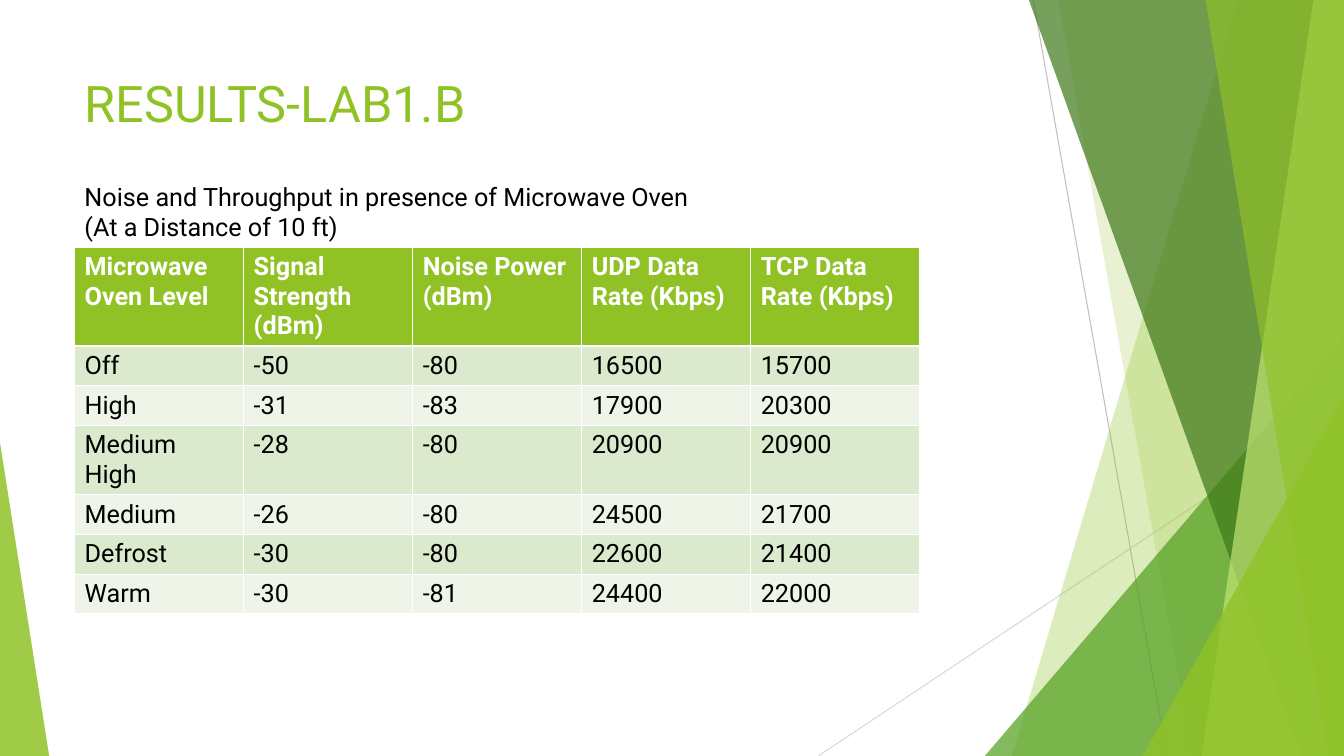
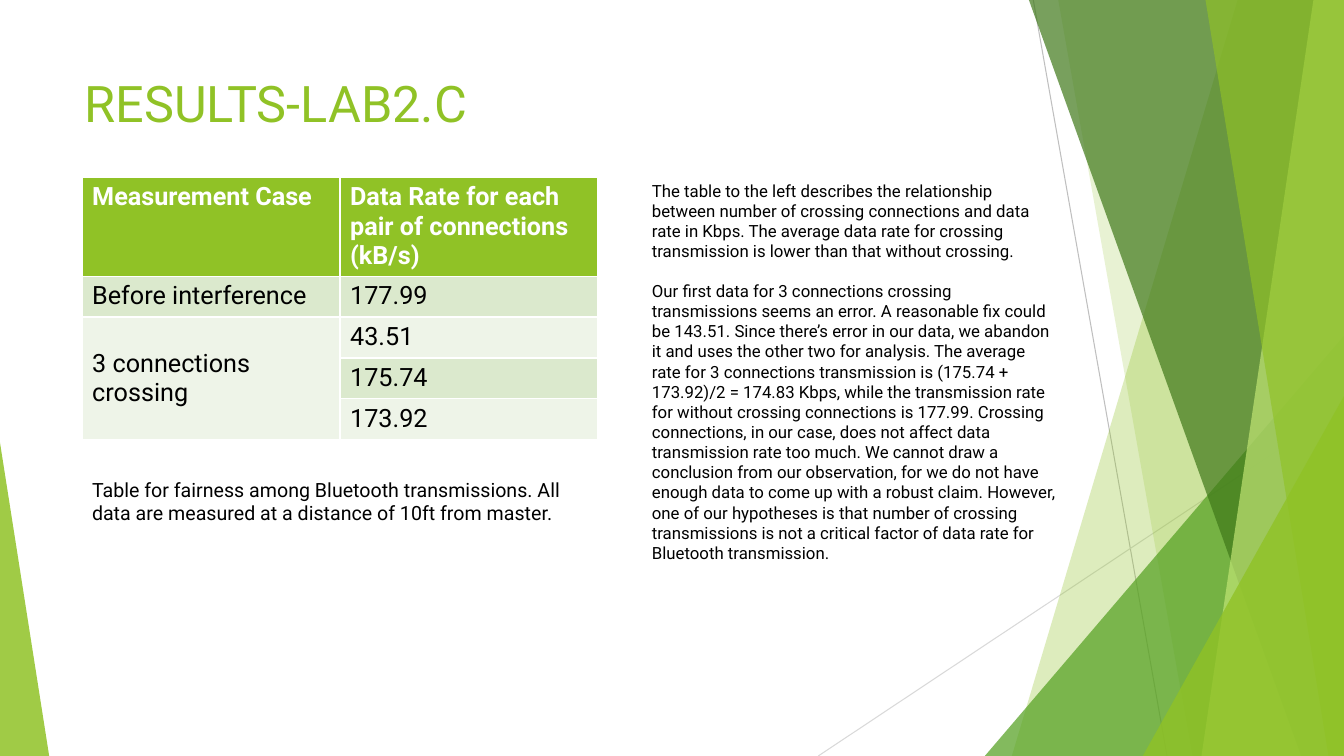
from lxml import etree
from pptx import Presentation
from pptx.dml.color import RGBColor
from pptx.enum import shapes, text
from pptx.oxml.ns import qn
from pptx.util import Cm, Pt

LIME = RGBColor(0x90, 0xC2, 0x26)
LEAF = RGBColor(0x54, 0xA0, 0x21)
FOREST = RGBColor(0x3F, 0x78, 0x19)
PALE_LIME = RGBColor(0xC0, 0xE4, 0x74)
BAND_DARK = RGBColor(0xDB, 0xE9, 0xCD)
BAND_LIGHT = RGBColor(0xEE, 0xF4, 0xE8)
GREY = RGBColor(0xBF, 0xBF, 0xBF)
LIGHT_GREY = RGBColor(0xD9, 0xD9, 0xD9)
BLACK = RGBColor(0, 0, 0)
WHITE = RGBColor(0xFF, 0xFF, 0xFF)

FONT = "Roboto"
W, H = 33.87, 19.05
LEFT = 1.88
TITLE_ONLY = 5


class Deck:
    """Holds the presentation, its style and the current slide."""

    def __init__(self):
        self.prs = Presentation()
        self.prs.slide_width, self.prs.slide_height = Cm(W), Cm(H)
        self.layout = self.prs.slide_layouts[TITLE_ONLY]
        self.s = None

    def slide(self, title):
        self.s = self.prs.slides.add_slide(self.layout)
        if len(self.prs.slides) == 1:
            self.decorate_layout()
        sp = self.s.shapes.title
        box = {"left": LEFT, "top": 1.7, "width": 23.88, "height": 3.66}
        for name, value in box.items():
            setattr(sp, name, Cm(value))
        tf = sp.text_frame
        tf.text = title
        tf.auto_size = text.MSO_AUTO_SIZE.NONE
        tf.vertical_anchor = text.MSO_ANCHOR.TOP
        tf.paragraphs[0].alignment = text.PP_ALIGN.LEFT
        self.format(tf, size=Pt(36), color=LIME)

    def decorate_layout(self):
        """Draw the green facets on the slide, then move them behind the layout's title."""
        facets = [
            self.line((26.04, 0), (29.41, H), GREY),
            self.line((W, 10.24), (20.62, H), LIGHT_GREY),
            self.panel(31.19, 25.5, LIME, 30),
            self.panel(26.67, 30.05, LIME, 20),
            self.wedge(24.82, 8.46, W, 1, LEAF, 72),
            self.panel(25.93, 32.79, FOREST, 70),
            self.panel(33.1, 30.28, PALE_LIME, 70),
            self.panel(30.38, 33.48, LIME, 65),
            self.wedge(28.8, 9.98, W, 1, LIME, 80),
            self.wedge(0, 11.15, 1.24, 0, LIME, 85),
        ]
        title = self.layout.placeholders[0].element
        for sp in facets:
            title.addprevious(sp.element)

    def line(self, start, end, color):
        cx = self.s.shapes.add_connector(
            shapes.MSO_CONNECTOR.STRAIGHT, *map(Cm, start + end))
        cx.line.color.rgb = color
        cx.line.width = Pt(0.75)
        etree.SubElement(cx.element.spPr, qn("a:effectLst"))
        return cx

    def panel(self, top_x, bottom_x, color, opacity):
        """Full-height facet from a slanted left edge to the slide's right edge."""
        fb = self.s.shapes.build_freeform(Cm(top_x), 0)
        fb.add_line_segments(
            [(Cm(x), Cm(y)) for x, y in ((W, 0), (W, H), (bottom_x, H))])
        return self.tint(fb.convert_to_shape(), color, opacity)

    def wedge(self, left, top, right, apex, color, opacity):
        """Triangle standing on the slide's bottom edge; apex is 0 (left) to 1 (right)."""
        sp = self.s.shapes.add_shape(
            shapes.MSO_SHAPE.ISOSCELES_TRIANGLE,
            Cm(left), Cm(top), Cm(right - left), Cm(H - top))
        sp.adjustments[0] = apex
        return self.tint(sp, color, opacity)

    def tint(self, sp, color, opacity):
        sp.shadow.inherit = False
        sp.line.fill.background()
        sp.fill.solid()
        sp.fill.fore_color.rgb = color
        clr = sp.element.spPr.find(".//" + qn("a:srgbClr"))
        etree.SubElement(clr, qn("a:alpha"), val=str(opacity * 1000))
        return sp

    def format(self, tf, color=BLACK, **font):
        for p in tf.paragraphs:
            for r in p.runs:
                for name, value in {"name": FONT, **font}.items():
                    setattr(r.font, name, value)
                r.font.color.rgb = color

    def text(self, left, top, width, height, size, *paragraphs):
        sp = self.s.shapes.add_textbox(*map(Cm, (left, top, width, height)))
        tf = sp.text_frame
        tf.word_wrap = True
        tf.text = "\n".join(paragraphs)
        tf.auto_size = text.MSO_AUTO_SIZE.SHAPE_TO_FIT_TEXT
        for p in tf.paragraphs[:-1]:
            p.space_after = Pt(size * 1.17)
        self.format(tf, size=Pt(size))

    def table(self, left, top, col_width, heights, rows):
        n = len(rows[0])
        tbl = self.s.shapes.add_table(
            len(rows), n, Cm(left), Cm(top),
            Cm(col_width * n), Cm(sum(heights))).table
        for col in tbl.columns:
            col.width = Cm(col_width)
        for i, (values, height) in enumerate(zip(rows, heights)):
            tbl.rows[i].height = Cm(height)
            header = i == 0
            fill = LIME if header else BAND_DARK if i % 2 else BAND_LIGHT
            for j, value in enumerate(values):
                cell = tbl.cell(i, j)
                cell.text = value
                cell.fill.solid()
                cell.fill.fore_color.rgb = fill
                self.format(cell.text_frame, size=Pt(18), bold=header,
                            color=WHITE if header else BLACK)
        return tbl


def main():
    deck = Deck()

    deck.slide("RESULTS-LAB1.B")
    deck.table(LEFT, 6.23, 4.26, [2.48, 1, 1, 1.75, 1, 1, 1], [
        ("Microwave Oven Level", "Signal Strength (dBm)", "Noise Power (dBm)",
         "UDP Data Rate (Kbps)", "TCP Data Rate (Kbps)"),
        ("Off", "-50", "-80", "16500", "15700"),
        ("High", "-31", "-83", "17900", "20300"),
        ("Medium High", "-28", "-80", "20900", "20900"),
        ("Medium", "-26", "-80", "24500", "21700"),
        ("Defrost", "-30", "-80", "22600", "21400"),
        ("Warm", "-30", "-81", "24400", "22000"),
    ])
    deck.text(LEFT, 4.44, 15.8, 1.8, 18,
              "Noise and Throughput in presence of Microwave Oven "
              "(At a Distance of 10 ft)")

    deck.slide("RESULTS-LAB2.C")
    tbl = deck.table(2.07, 4.47, 6.5, [2.48] + [1.03] * 4, [
        ("Measurement Case", "Data Rate for each pair of connections (kB/s)"),
        ("Before interference", "177.99"),
        ("3 connections crossing", "43.51"),
        ("", "175.74"),
        ("", "173.92"),
    ])
    crossing = tbl.cell(2, 0)
    crossing.merge(tbl.cell(4, 0))
    crossing.vertical_anchor = text.MSO_ANCHOR.MIDDLE
    deck.text(2.07, 11.91, 13, 1.45, 14,
              "Table for fairness among Bluetooth transmissions. All data are "
              "measured at a distance of 10ft from master.")
    deck.text(
        16.18, 4.42, 10.7, 10, 12,
        "The table to the left describes the relationship between number of "
        "crossing connections and data rate in Kbps. The average data rate for "
        "crossing transmission is lower than that without crossing.",
        "Our first data for 3 connections crossing transmissions seems an error. "
        "A reasonable fix could be 143.51. Since there’s error in our data, we "
        "abandon it and uses the other two for analysis. The average rate for 3 "
        "connections transmission is (175.74 + 173.92)/2 = 174.83 Kbps, while the "
        "transmission rate for without crossing connections is 177.99. Crossing "
        "connections, in our case, does not affect data transmission rate too "
        "much. We cannot draw a conclusion from our observation, for we do not "
        "have enough data to come up with a robust claim. However, one of our "
        "hypotheses is that number of crossing transmissions is not a critical "
        "factor of data rate for Bluetooth transmission.")

    deck.prs.save("out.pptx")


if __name__ == "__main__":
    main()
